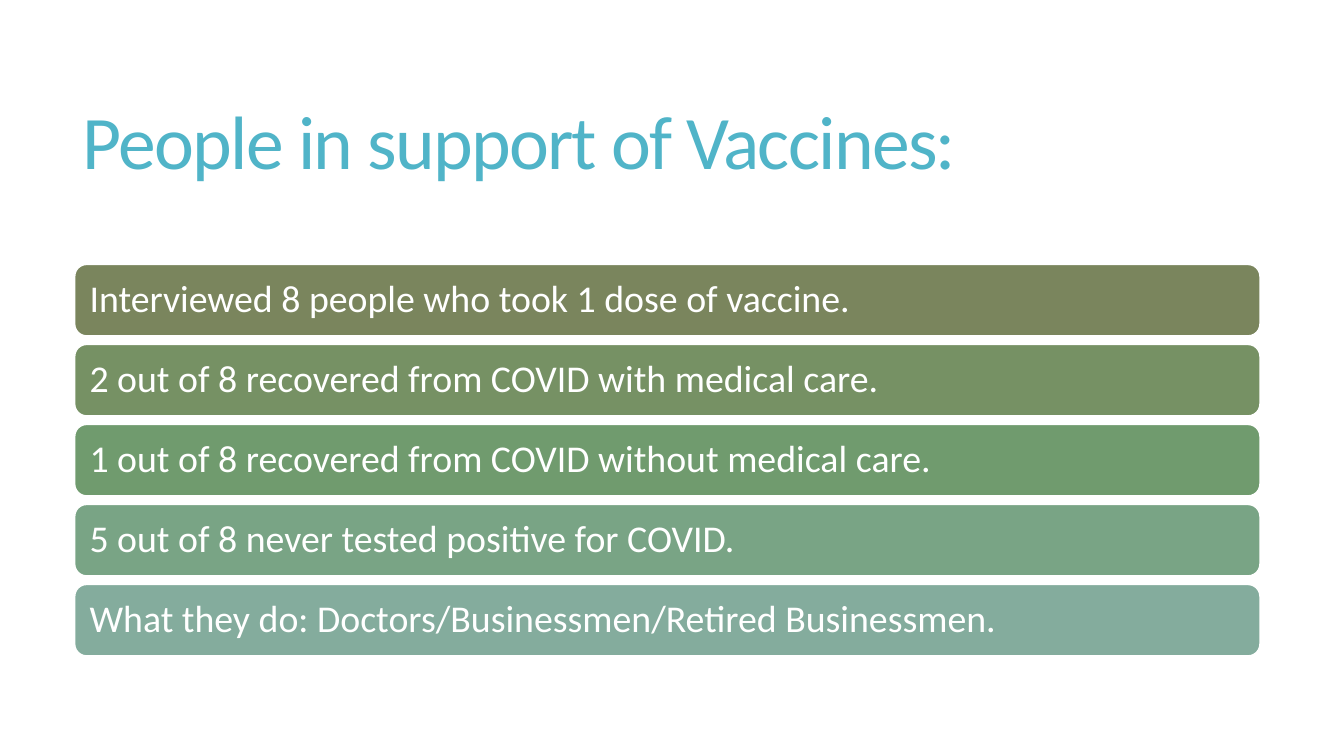
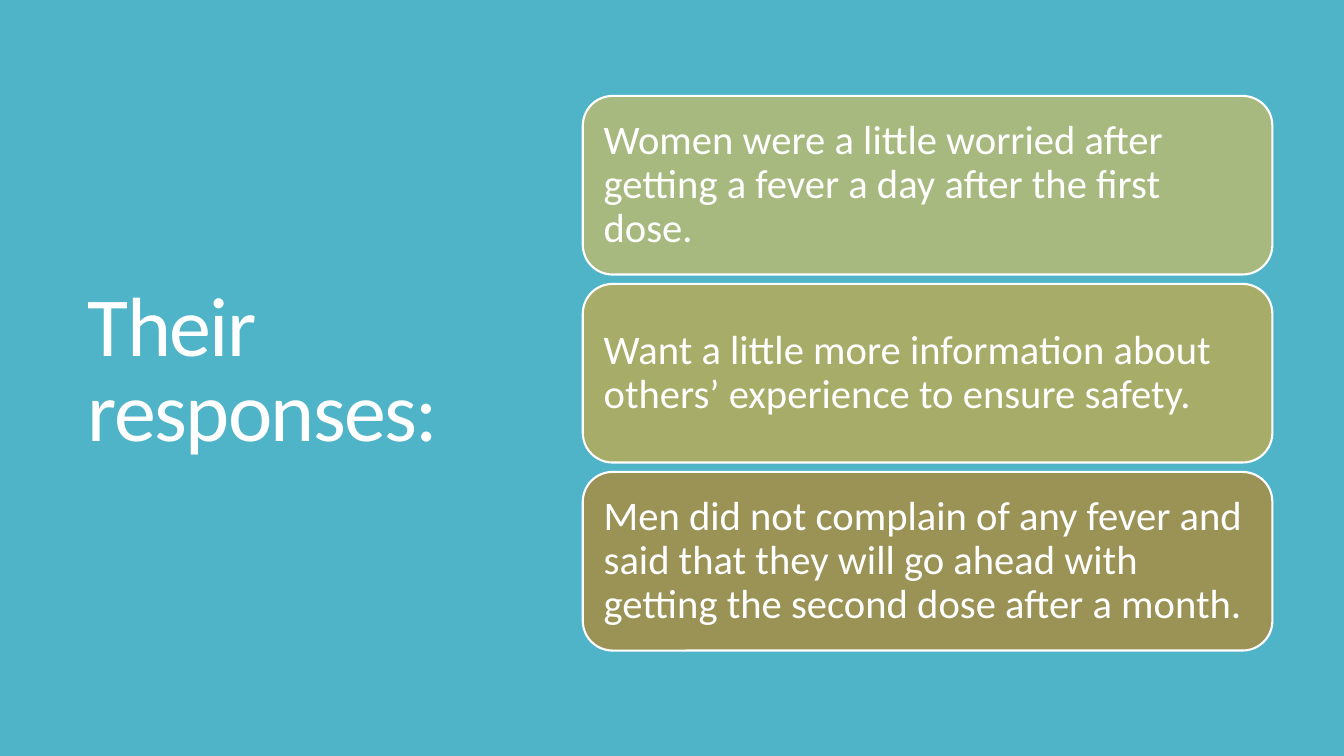
import pptx
import pptx.dml.color
import pptx.enum.shapes
import pptx.enum.text
import pptx.util

Pt = pptx.util.Pt
FONT = "Calibri"
COLORS = {
    "white": "FFFFFF", "teal": "50B4C8",
    "olive": "7A855D", "moss": "769164", "green": "709B6E",
    "sage": "79A485", "mist": "84AC9D",
    "lime": "A8B97F", "khaki": "A7AC68", "bronze": "9B9256",
}
TITLE_FORMAT = {"line_spacing": 0.85, "space_before": Pt(0)}
CARD_FORMAT = {"line_spacing": 0.9, "space_before": Pt(0)}


def rgb(name):
    return pptx.dml.color.RGBColor.from_string(COLORS[name])


def set_attrs(obj, values):
    for name, value in values.items():
        setattr(obj, name, value)


def fill_solid(fill, color):
    fill.solid()
    fill.fore_color.rgb = rgb(color)


def write_text(sp, text, size, color, para_format, inset_x, inset_y):
    """Put one left-aligned, vertically centred paragraph in a shape."""
    tf = sp.text_frame
    set_attrs(tf, {
        "word_wrap": True,
        "auto_size": pptx.enum.text.MSO_AUTO_SIZE.NONE,
        "vertical_anchor": pptx.enum.text.MSO_ANCHOR.MIDDLE,
        "margin_left": Pt(inset_x), "margin_right": Pt(inset_x),
        "margin_top": Pt(inset_y), "margin_bottom": Pt(inset_y),
    })
    p = tf.paragraphs[0]
    p.alignment = pptx.enum.text.PP_ALIGN.LEFT
    set_attrs(p, para_format)
    r = p.add_run()
    r.text = text
    set_attrs(r.font, {"name": FONT, "size": Pt(size)})
    r.font.color.rgb = rgb(color)
    return r


def add_slide(prs, background, title, box, size, color):
    """Add a title-only slide with its background and tightly spaced title."""
    s = prs.slides.add_slide(prs.slide_layouts[5])
    fill_solid(s.background.fill, background)
    sp = s.shapes.title
    set_attrs(sp, dict(zip(("left", "top", "width", "height"), map(Pt, box))))
    r = write_text(sp, title, size, color, TITLE_FORMAT, 7.2, 3.6)
    r.font._element.set("spc", "-120")
    return s


def add_cards(s, cards, box, pitch, size, inset, line_width):
    """Stack rounded cards; box is the first card, pitch the step down."""
    left, top, width, height = box
    for i, (color, text) in enumerate(cards):
        sp = s.shapes.add_shape(
            pptx.enum.shapes.MSO_SHAPE.ROUNDED_RECTANGLE,
            Pt(left), Pt(top + i * pitch), Pt(width), Pt(height))
        sp.shadow.inherit = False
        fill_solid(sp.fill, color)
        sp.line.color.rgb = rgb("white")
        sp.line.width = Pt(line_width)
        write_text(sp, text, size, "white", CARD_FORMAT, inset, inset)


def main():
    prs = pptx.Presentation()
    set_attrs(prs, {"slide_width": Pt(960), "slide_height": Pt(540)})

    # Interview results
    s = add_slide(prs, "white", "People in support of Vaccines:",
                  (52, 39.6, 848, 130.4), 54, "teal")
    add_cards(s, [
        ("olive", "Interviewed 8 people who took 1 dose of vaccine."),
        ("moss", "2 out of 8 recovered from COVID with medical care."),
        ("green", "1 out of 8 recovered from COVID without medical care."),
        ("sage", "5 out of 8 never tested positive for COVID."),
        ("mist", "What they do: Doctors/Businessmen/Retired Businessmen."),
    ], (53.4, 188.9, 846.6, 51), 57.15, 27, 8.1, 1)

    # Responses
    s = add_slide(prs, "teal", "Their responses:",
                  (55.5, 50.4, 314.6, 432.7), 60, "white")
    add_cards(s, [
        ("lime", "Women were a little worried after getting a fever a day "
                 "after the first dose."),
        ("khaki", "Want a little more information about others’ experience "
                  "to ensure safety."),
        ("bronze", "Men did not complain of any fever and said that they will "
                   "go ahead with getting the second dose after a month."),
    ], (416.3, 68.5, 492.6, 127.6), 134.3, 29, 8.7, 1.5)

    prs.save("out.pptx")


if __name__ == "__main__":
    main()
